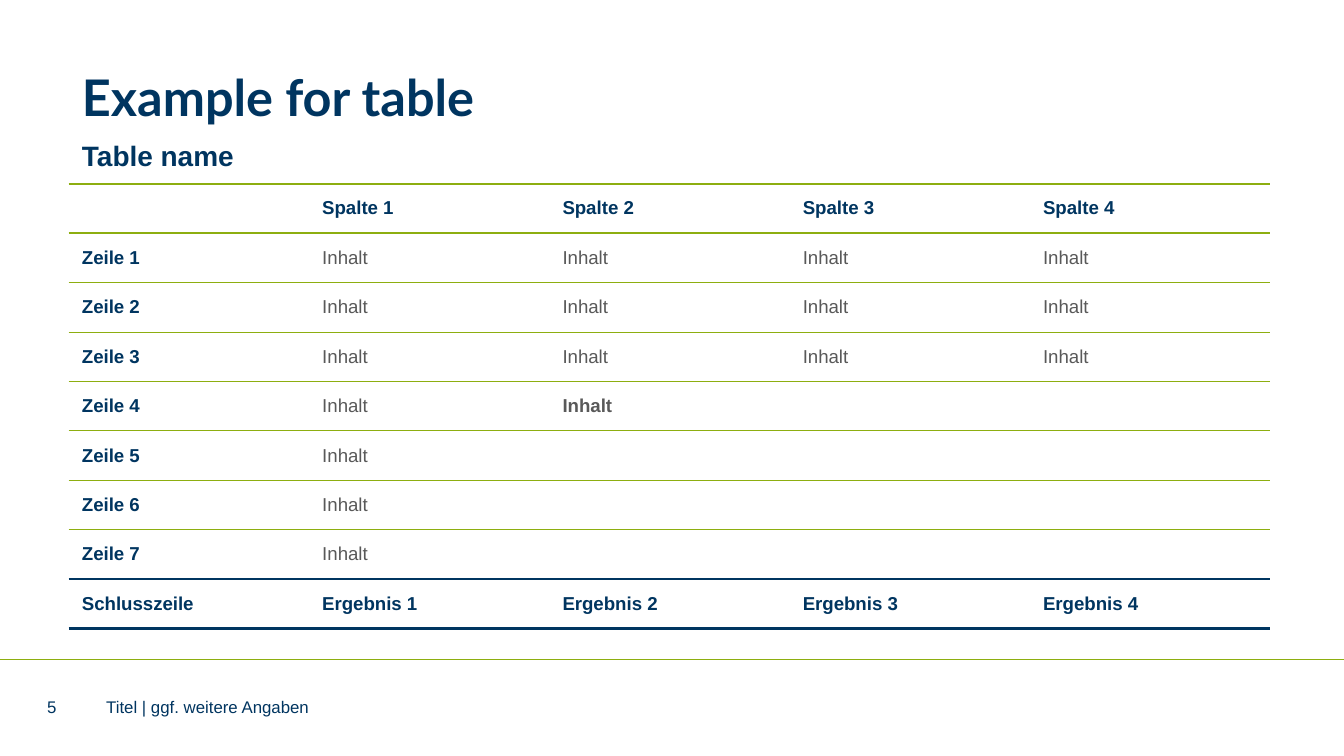
from dataclasses import dataclass
from typing import Optional

from lxml.etree import SubElement
from pptx import Presentation
from pptx.dml.color import RGBColor
from pptx.enum.shapes import MSO_CONNECTOR as Connector
from pptx.enum.text import MSO_ANCHOR as Anchor
from pptx.enum.text import PP_ALIGN as Align
from pptx.oxml.ns import qn
from pptx.util import Inches, Pt


@dataclass(frozen=True)
class Theme:
    navy: str = "003560"
    green: str = "8DAE10"
    grey: str = "595959"
    heading_font: str = "Lato"
    body_font: str = "Arial"
    title_size: int = 27
    caption_size: int = 15
    cell_size: int = 10
    footer_size: int = 9
    thin: float = 0.5
    thick: float = 1.5


@dataclass(frozen=True)
class Rule:
    color: str
    width: float


@dataclass(frozen=True)
class FooterItem:
    text: str
    left: float
    width: float


@dataclass(frozen=True)
class TableRow:
    texts: tuple
    below: Rule
    strong: bool = False  # every cell is in the heading style
    bold_columns: tuple = ()


THEME = Theme()
HEADER_RULE = Rule(THEME.green, THEME.thick)
BODY_RULE = Rule(THEME.green, THEME.thin)
TOTAL_RULE = Rule(THEME.navy, THEME.thick)

SLIDE_WIDTH = 10
SLIDE_HEIGHT = SLIDE_WIDTH * 9 / 16
COLUMNS = 5
TABLE_LEFT, TABLE_TOP, TABLE_WIDTH, TABLE_HEIGHT = 0.51, 1, 8.94, 3.68
FILLED_CELLS = (4, 4, 4, 2, 1, 1, 1)  # content cells in each body row

FOOTER = (
    FooterItem("Titel | ggf. weitere Angaben", 0.79, 6.89),
    FooterItem("5", 0.35, 0.28),
)


def numbered(word: str) -> tuple:
    return tuple(f"{word} {number}" for number in range(1, COLUMNS))


def table_rows() -> list[TableRow]:
    rows = [
        TableRow(("Table name",), HEADER_RULE, strong=True),
        TableRow(("",) + numbered("Spalte"), HEADER_RULE, strong=True),
    ]
    for number, count in enumerate(FILLED_CELLS, start=1):
        rows.append(TableRow(
            (f"Zeile {number}",) + ("Inhalt",) * count,
            TOTAL_RULE if number == len(FILLED_CELLS) else BODY_RULE,
            bold_columns=(2,) if number == 4 else (),
        ))
    rows.append(TableRow(("Schlusszeile",) + numbered("Ergebnis"), TOTAL_RULE, strong=True))
    return rows


def write_text(frame, text: str, *, size: float, color: str = THEME.navy,
               font: str = THEME.body_font, bold: bool = False) -> None:
    paragraph = frame.paragraphs[0]
    if not text:
        # An empty cell keeps the row height of its type size
        paragraph._p.get_or_add_endParaRPr().set("sz", str(int(size * 100)))
        return
    run = paragraph.add_run()
    run.text = text
    run.font.size = Pt(size)
    run.font.name = font
    run.font.bold = bold
    run.font.color.rgb = RGBColor.from_string(color)


def set_borders(cell, above: Optional[Rule], below: Rule) -> None:
    properties = cell._tc.get_or_add_tcPr()
    for side, rule in (("L", None), ("R", None), ("T", above), ("B", below)):
        line = SubElement(properties, qn(f"a:ln{side}"))
        if rule is None:
            SubElement(line, qn("a:noFill"))
            continue
        line.set("w", str(Pt(rule.width)))
        fill = SubElement(line, qn("a:solidFill"))
        SubElement(fill, qn("a:srgbClr")).set("val", rule.color)


def draw_divider(slide, top: float) -> None:
    line = slide.shapes.add_connector(
        Connector.STRAIGHT, 0, Inches(top), Inches(SLIDE_WIDTH), Inches(top))
    line.line.color.rgb = RGBColor.from_string(THEME.green)
    line.line.width = Pt(THEME.thin)
    SubElement(line._element.spPr, qn("a:effectLst"))


def draw_title(slide, text: str) -> None:
    title = slide.shapes.title
    title.left, title.top = Inches(TABLE_LEFT), Inches(0.43)
    title.width, title.height = Inches(8.27), Inches(0.51)
    frame = title.text_frame
    frame.vertical_anchor = Anchor.BOTTOM
    frame.margin_bottom = 0
    frame.paragraphs[0].alignment = Align.LEFT
    write_text(frame, text, size=THEME.title_size, font=THEME.heading_font, bold=True)


def draw_footer_item(slide, item: FooterItem) -> None:
    box = slide.shapes.add_textbox(
        Inches(item.left), Inches(5.2), Inches(item.width), Inches(0.12))
    frame = box.text_frame
    frame.word_wrap = True
    frame.vertical_anchor = Anchor.MIDDLE
    frame.margin_left = frame.margin_right = frame.margin_top = frame.margin_bottom = 0
    write_text(frame, item.text, size=THEME.footer_size)


def draw_table(slide, rows: list[TableRow]) -> None:
    table = slide.shapes.add_table(
        len(rows), COLUMNS, Inches(TABLE_LEFT), Inches(TABLE_TOP),
        Inches(TABLE_WIDTH), Inches(TABLE_HEIGHT)).table
    table.first_row = table.horz_banding = False
    table.cell(0, 0).merge(table.cell(0, COLUMNS - 1))
    above = None
    for row_index, row in enumerate(rows):
        for column in range(COLUMNS):
            cell = table.cell(row_index, column)
            set_borders(cell, above, row.below)
            cell.fill.background()
            cell.vertical_anchor = Anchor.MIDDLE if row_index else Anchor.TOP
            heading = row.strong or column == 0
            write_text(
                cell.text_frame,
                row.texts[column] if column < len(row.texts) else "",
                size=THEME.cell_size if row_index else THEME.caption_size,
                color=THEME.navy if heading else THEME.grey,
                bold=heading or column in row.bold_columns,
            )
        above = row.below


def main() -> None:
    presentation = Presentation()
    presentation.slide_width = Inches(SLIDE_WIDTH)
    presentation.slide_height = Inches(SLIDE_HEIGHT)
    slide = presentation.slides.add_slide(presentation.slide_layouts[5])

    # Heading
    draw_title(slide, "Example for table")

    # Footer
    draw_divider(slide, 4.91)
    for item in FOOTER:
        draw_footer_item(slide, item)

    # Table
    draw_table(slide, table_rows())

    presentation.save("out.pptx")


if __name__ == "__main__":
    main()
